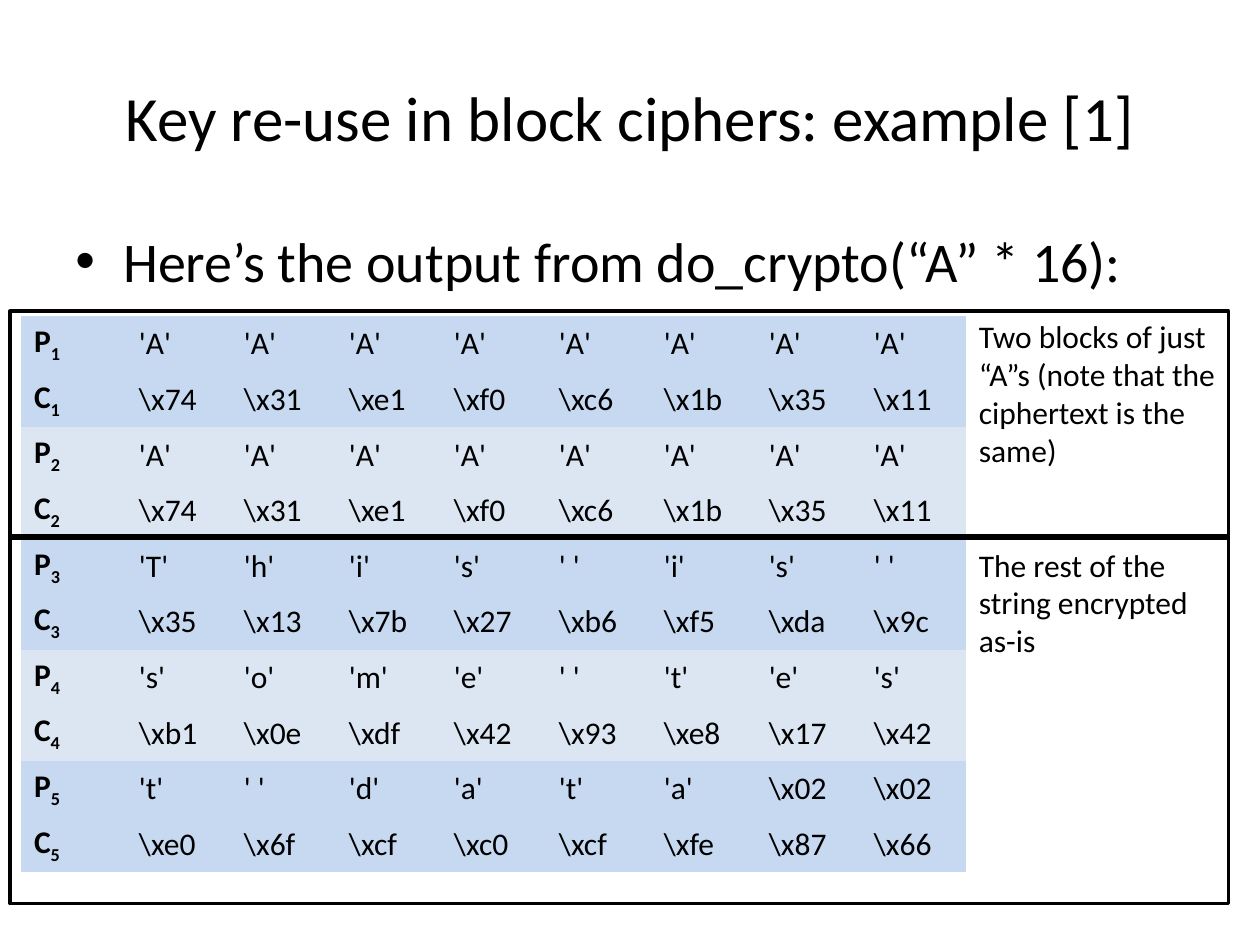
"""Build a slide showing how key re-use leaks repeated blocks in a block cipher."""
from lxml import etree
from pptx import Presentation, util as u
from pptx.dml.color import RGBColor
from pptx.enum import shapes, text
from pptx.oxml import ns

TITLE = "Key re-use in block ciphers: example [1]"
BULLET = "Here’s the output from do_crypto(“A” * 16):"
NOTES = [
    "Two blocks of just “A”s (note that the ciphertext is the same)",
    "The rest of the string encrypted as-is",
]
BLOCKS = [
    (r"'A'|'A'|'A'|'A'|'A'|'A'|'A'|'A'", r"\x74|\x31|\xe1|\xf0|\xc6|\x1b|\x35|\x11"),
    (r"'A'|'A'|'A'|'A'|'A'|'A'|'A'|'A'", r"\x74|\x31|\xe1|\xf0|\xc6|\x1b|\x35|\x11"),
    (r"'T'|'h'|'i'|'s'|' '|'i'|'s'|' '", r"\x35|\x13|\x7b|\x27|\xb6|\xf5|\xda|\x9c"),
    (r"'s'|'o'|'m'|'e'|' '|'t'|'e'|'s'", r"\xb1|\x0e|\xdf|\x42|\x93|\xe8|\x17|\x42"),
    (r"'t'|' '|'d'|'a'|'t'|'a'|\x02|\x02", r"\xe0|\x6f|\xcf|\xc0|\xcf|\xfe|\x87|\x66"),
]
FRAMES = [(0.08, 4.25, 9.67, 2.92), (0.08, 2.47, 9.67, 1.8)]
COLORS = {"ink": "000000", "odd": "C6D9F1", "even": "DCE6F2"}
FONT = "Calibri"
NO_GRID_STYLE = "{2D5ABB26-0587-4C30-8999-92F81FD0307C}"


def color(name):
    return RGBColor.from_string(COLORS[name])


def set_font(para, size, bold=False):
    font = para.font
    font.name, font.size, font.bold = FONT, u.Pt(size), bold
    font.color.rgb = color("ink")


def add_text(slide, area, lines, size, anchor=text.MSO_ANCHOR.TOP):
    box = slide.shapes.add_textbox(*map(u.Inches, area))
    frame = box.text_frame
    frame.word_wrap = True
    frame.vertical_anchor = anchor
    frame.text = "\n".join(lines)
    for para in frame.paragraphs:
        set_font(para, size)
    return frame


def add_bullet(slide):
    frame = add_text(slide, (0.5, 1.75, 9, 4.95), [], 32)
    para = frame.paragraphs[0]
    para.text = BULLET
    props = para._p.get_or_add_pPr()
    props.set("marL", str(u.Inches(0.38)))
    props.set("indent", str(u.Inches(-0.38)))
    font_tag = etree.Element(ns.qn("a:buFont"), typeface="Arial")
    bullet = etree.Element(ns.qn("a:buChar"), char="•")
    props.insert(0, font_tag)
    props.insert(1, bullet)


def add_cipher_table(slide):
    rows = [
        (letter, number, values.split("|"))
        for number, block in enumerate(BLOCKS, 1)
        for letter, values in zip("PC", block)
    ]
    columns = len(rows[0][2]) + 1
    area = map(u.Inches, (0.17, 2.51, 7.5, 4.41))
    table = slide.shapes.add_table(len(rows), columns, *area).table
    table.first_row = table.horz_banding = False
    table._tbl.tblPr.find(ns.qn("a:tableStyleId")).text = NO_GRID_STYLE
    for row, (letter, number, values) in enumerate(rows):
        for column, value in enumerate([letter] + values):
            cell = table.cell(row, column)
            cell.fill.solid()
            cell.fill.fore_color.rgb = color("odd" if number % 2 else "even")
            cell.vertical_anchor = text.MSO_ANCHOR.MIDDLE
            para = cell.text_frame.paragraphs[0]
            para.add_run().text = value
            if column == 0:
                span = para.add_run()
                span.text = str(number)
                span._r.get_or_add_rPr().set("baseline", "-25000")
            set_font(para, 18, bold=column == 0)


def add_frame(slide, area):
    frame = slide.shapes.add_shape(shapes.MSO_SHAPE.RECTANGLE, *map(u.Inches, area))
    frame.shadow.inherit = False
    frame.fill.background()
    frame.line.color.rgb = color("ink")
    frame.line.width = u.Pt(2)


def main():
    deck = Presentation()
    deck.slide_width, deck.slide_height = u.Inches(10), u.Inches(7.5)
    slide = deck.slides.add_slide(deck.slide_layouts[6])
    title = add_text(slide, (0.5, 0.3, 9, 1.25), [TITLE], 36, text.MSO_ANCHOR.MIDDLE)
    title.paragraphs[0].alignment = text.PP_ALIGN.CENTER
    add_bullet(slide)
    add_cipher_table(slide)
    notes = add_text(slide, (7.67, 2.47, 2.08, 2.83), NOTES, 18)
    notes.paragraphs[1].space_before = u.Pt(44)
    for area in FRAMES:
        add_frame(slide, area)
    deck.save("out.pptx")


if __name__ == "__main__":
    main()
